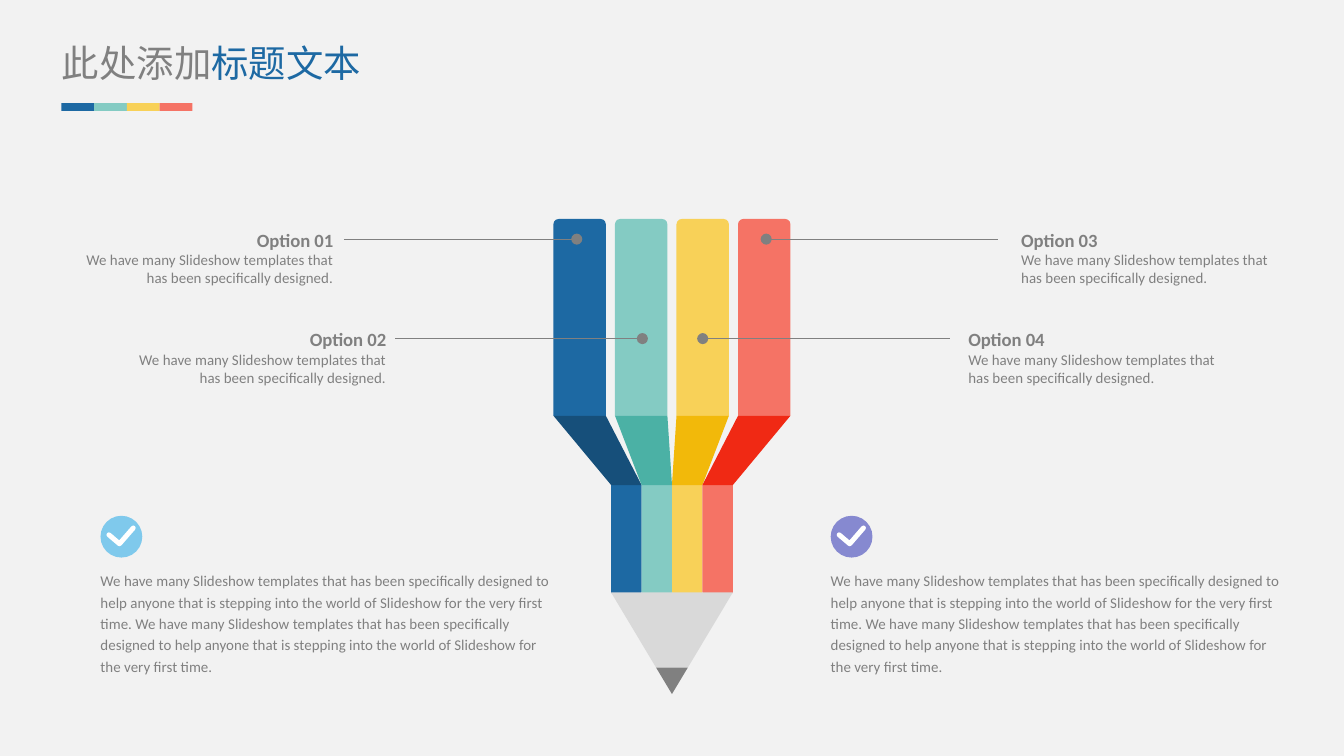
from dataclasses import dataclass

from lxml import etree
from pptx import Presentation
from pptx.dml import color
from pptx.enum import shapes, text
from pptx.oxml import ns
from pptx.util import Cm, Pt


@dataclass(frozen=True)
class Theme:
    background: str = "F2F2F2"
    grey: str = "808080"
    wood: str = "D9D9D9"
    white: str = "FFFFFF"
    bands: tuple = ("1D69A3", "84CBC3", "F8D158", "F57365")
    folds: tuple = ("164F7A", "4BB1A5", "F2B90A", "F02914")
    badges: tuple = ("7FC9EC", "8689D0")
    font: str = "Calibri"
    title_font: str = "Noto Sans CJK SC"
    title_size: int = 20
    heading_size: int = 10
    body_size: int = 8


theme = Theme()
rgb = color.RGBColor.from_string

deck = Presentation()
deck.slide_width, deck.slide_height = Cm(25.4), Cm(14.29)
page = deck.slides.add_slide(deck.slide_layouts[6])
page.background.fill.solid()
page.background.fill.fore_color.rgb = rgb(theme.background)


def paint(shape, fill):
    shape.shadow.inherit = False
    shape.fill.solid()
    shape.fill.fore_color.rgb = rgb(fill)
    shape.line.fill.background()
    return shape


def add_text(left, top, width, height, paragraphs, align=text.PP_ALIGN.LEFT):
    """Each paragraph is a list of (words, size, colour, bold, font)."""
    frame = page.shapes.add_textbox(Cm(left), Cm(top), Cm(width), Cm(height)).text_frame
    frame.word_wrap = True
    frame.margin_left = frame.margin_right = frame.margin_top = frame.margin_bottom = 0
    for index, spans in enumerate(paragraphs):
        para = frame.add_paragraph() if index else frame.paragraphs[0]
        para.alignment = align
        for words, size, tint, bold, font in spans:
            span = para.add_run()
            span.text = words
            span.font.size, span.font.bold, span.font.name = Pt(size), bold, font
            span.font.color.rgb = rgb(tint)
            etree.SubElement(span.font._element, ns.qn("a:ea"), typeface=font)
    return frame


# Pencil: upper bars, lower strips and the folds between them
bar_left, bar_pitch, bar_width = 10.46, 1.163, 0.99
strip_left, strip_width = 11.55, 0.575
bar_top, fold_top, strip_top, wood_top = 4.14, 7.86, 9.17, 11.2
outlines = []
for i, (band, fold) in enumerate(zip(theme.bands, theme.folds)):
    left = bar_left + i * bar_pitch
    right = left + bar_width
    inner = strip_left + i * strip_width
    outer = inner + strip_width
    bar = page.shapes.add_shape(shapes.MSO_SHAPE.ROUND_2_SAME_RECTANGLE, Cm(left), Cm(bar_top),
                                Cm(bar_width), Cm(fold_top - bar_top))
    bar.adjustments[0] = 0.1
    paint(bar, band)
    outlines.append((band, [(inner, strip_top), (outer, strip_top), (outer, wood_top),
                            ((inner + outer) / 2, 11.48), (inner, wood_top)]))
    outlines.append((fold, [(left, fold_top), (right, fold_top),
                            (outer, strip_top), (inner, strip_top)]))

# Pencil: wood and lead
outlines.append((theme.wood, [(11.55, wood_top), (13.85, wood_top), (13, 12.62), (12.4, 12.62)]))
outlines.append((theme.grey, [(12.4, 12.62), (13, 12.62), (12.7, 13.12)]))
for fill, points in outlines:
    corners = [(Cm(x), Cm(y)) for x, y in points]
    builder = page.shapes.build_freeform(*corners[0])
    builder.add_line_segments(corners[1:], close=True)
    paint(builder.convert_to_shape(), fill)

# Options with leader lines that end in a dot on the pencil
option_text = "We have many Slideshow templates that has been specifically designed."
right_side, left_side = text.PP_ALIGN.LEFT, text.PP_ALIGN.RIGHT
options = [
    ("Option 01", 1.3, 4.32, left_side, 6.5, 10.9),
    ("Option 02", 2.3, 6.2, left_side, 7.47, 12.14),
    ("Option 03", 19.3, 4.32, right_side, 14.48, 18.87),
    ("Option 04", 18.3, 6.2, right_side, 13.28, 17.96),
]
for name, left, top, align, start, end in options:
    add_text(left, top, 5, 1.1,
             [[(name, theme.heading_size, theme.grey, True, theme.font)],
              [(option_text, theme.body_size, theme.grey, False, theme.font)]], align)
    leader = page.shapes.add_connector(shapes.MSO_CONNECTOR.STRAIGHT,
                                       Cm(start), Cm(top + 0.2), Cm(end), Cm(top + 0.2))
    leader.line.color.rgb = rgb(theme.grey)
    leader.line.width = Pt(0.5)
    dot_end = "a:tailEnd" if align == left_side else "a:headEnd"
    etree.SubElement(leader.line._get_or_add_ln(), ns.qn(dot_end), type="oval")
    etree.SubElement(leader._element.spPr, ns.qn("a:effectLst"))

# Check badges with their paragraphs
sentence = ("We have many Slideshow templates that has been specifically designed to help anyone "
            "that is stepping into the world of Slideshow for the very first time.")
for left, fill in zip((1.9, 15.7), theme.badges):
    paint(page.shapes.add_shape(shapes.MSO_SHAPE.OVAL, Cm(left), Cm(9.75), Cm(0.79), Cm(0.79)), fill)
    builder = page.shapes.build_freeform(Cm(left + 0.16), Cm(10.11))
    builder.add_line_segments([(Cm(left + 0.36), Cm(10.28)), (Cm(left + 0.62), Cm(9.98))],
                              close=False)
    check = paint(builder.convert_to_shape(), fill)
    check.line.color.rgb = rgb(theme.white)
    check.line.width = Pt(2.63)
    check.line._get_or_add_ln().set("cap", "rnd")
    frame = add_text(left, 10.74, 8.61, 2.06,
                     [[(f"{sentence} {sentence}", theme.body_size, theme.grey, False, theme.font)]])
    frame.paragraphs[0].line_spacing = 1.2

# Title with its four-colour underline
add_text(1.17, 0.76, 7.72, 0.86,
         [[("此处添加", theme.title_size, theme.grey, False, theme.title_font),
           ("标题文本", theme.title_size, theme.bands[0], False, theme.title_font)]])
for i, band in enumerate(theme.bands):
    paint(page.shapes.add_shape(shapes.MSO_SHAPE.RECTANGLE, Cm(1.16 + i * 0.62), Cm(1.95),
                                Cm(0.62), Cm(0.15)), band)

deck.save("out.pptx")
